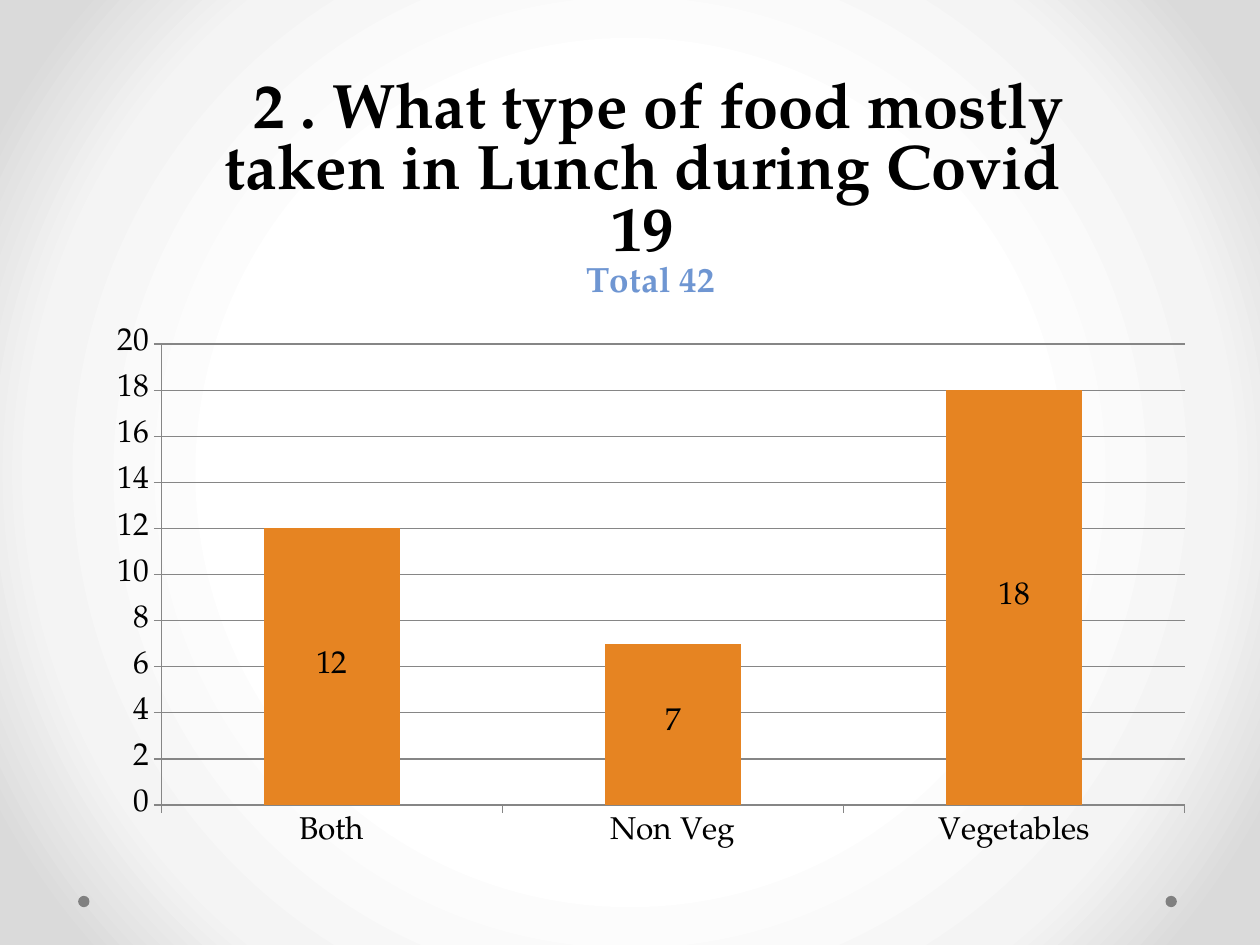
from lxml import etree
from pptx import Presentation
from pptx.chart.data import CategoryChartData
from pptx.dml.color import RGBColor
from pptx.enum.chart import XL_CHART_TYPE, XL_LABEL_POSITION, XL_TICK_MARK
from pptx.enum.shapes import MSO_SHAPE
from pptx.oxml import parse_xml
from pptx.oxml.ns import qn
from pptx.util import Inches, Pt

STACKED = XL_CHART_TYPE.COLUMN_STACKED
CENTER = XL_LABEL_POSITION.CENTER
OUTSIDE = XL_TICK_MARK.OUTSIDE
OVAL = MSO_SHAPE.OVAL
SPACES = ('xmlns:a="http://schemas.openxmlformats.org/drawingml/2006/main" '
          'xmlns:p="http://schemas.openxmlformats.org/presentationml/2006/main"')


def paint(code):
    return RGBColor.from_string(code)


class Deck:
    face = "TeX Gyre Pagella"
    ink, accent, bar = "000000", "6F96D2", "E68422"
    rule, dotted = "868686", "808080"

    def __init__(self, slide):
        self.slide = slide

    def font(self, font, size, color, bold=False):
        font.name, font.size, font.bold = self.face, Pt(size), bold
        font.color.rgb = paint(color)

    def glow(self, stops):
        marks = "".join(f'<a:gs pos="{pos * 1000}"><a:srgbClr val="{code}"/></a:gs>'
                        for pos, code in stops)
        back = parse_xml(
            f'<p:bg {SPACES}><p:bgPr><a:gradFill rotWithShape="1"><a:gsLst>{marks}</a:gsLst>'
            '<a:path path="circle"><a:fillToRect l="50000" t="50000" r="50000" b="50000"/>'
            '</a:path></a:gradFill><a:effectLst/></p:bgPr></p:bg>')
        self.slide.element.cSld.insert(0, back)

    def dot(self, left, top, size):
        dot = self.slide.shapes.add_shape(
            OVAL, Inches(left), Inches(top), Inches(size), Inches(size))
        dot.shadow.inherit = False
        dot.fill.solid()
        dot.fill.fore_color.rgb = paint(self.dotted)
        dot.line.fill.background()

    def chart(self, box, names, values):
        data = CategoryChartData()
        data.categories = names
        data.add_series("Series 1", values)
        chart = self.slide.shapes.add_chart(STACKED, *map(Inches, box), data).chart
        chart.has_legend = False
        self.font(chart.font, 18, self.ink)

        # Bars and value labels
        plot = chart.plots[0]
        plot.gap_width, plot.overlap = 150, 100
        plot.vary_by_categories = False
        fill = plot.series[0].format.fill
        fill.solid()
        fill.fore_color.rgb = paint(self.bar)
        plot.has_data_labels = True
        labels = plot.data_labels
        labels.show_value, labels.position = True, CENTER
        self.font(labels.font, 18, self.ink)

        # Axes and grid
        scale = chart.value_axis
        scale.minimum_scale, scale.maximum_scale, scale.major_unit = 0, 20, 2
        scale.has_major_gridlines = True
        lines = [scale.major_gridlines.format.line]
        for axis in (scale, chart.category_axis):
            axis.major_tick_mark = OUTSIDE
            lines.append(axis.format.line)
        for line in lines:
            line.color.rgb = paint(self.rule)
            line.width = Pt(0.75)
        return chart

    def title(self, chart, rows):
        chart.has_title = True
        frame = chart.chart_title.text_frame
        for i, (text, size, color) in enumerate(rows):
            para = frame.add_paragraph() if i else frame.paragraphs[0]
            run = para.add_run()
            run.text = text
            for font in (para.font, run.font):
                self.font(font, size, color, True)
        chart.chart_title.include_in_layout = False

    def place(self, chart, **parts):
        area = chart.element.find(".//" + qn("c:plotArea"))
        old = area.find(qn("c:layout"))
        if old is not None:
            area.remove(old)
        layout = etree.Element(qn("c:layout"))
        area.insert(0, layout)
        manual = etree.SubElement(layout, qn("c:manualLayout"))
        modes = {"layoutTarget": "inner", "xMode": "edge", "yMode": "edge"}
        for key, value in {**modes, **parts}.items():
            etree.SubElement(manual, qn("c:" + key)).set("val", str(value))


show = Presentation()
show.slide_width, show.slide_height = Inches(10), Inches(7.5)
deck = Deck(show.slides.add_slide(show.slide_layouts[6]))

# Background and corner dots
deck.glow([(50, "FFFFFF"), (76, "F4F4F4"), (92, "DADADA")])
for left in (9.25, 0.62):
    deck.dot(left, 7.11, 0.09)

# Survey chart
chart = deck.chart((0.75, 0.42, 8.83, 6.42),
                   ["Both", "Non Veg", "Vegetables"], [12, 7, 18])
deck.title(chart, [
    (" 2 . What type of food mostly taken in Lunch during Covid  19 ", 36, deck.ink),
    ("Total 42", 20, deck.accent),
])
deck.place(chart, x=0.06, y=0.36, w=0.92, h=0.57)

show.save("out.pptx")
